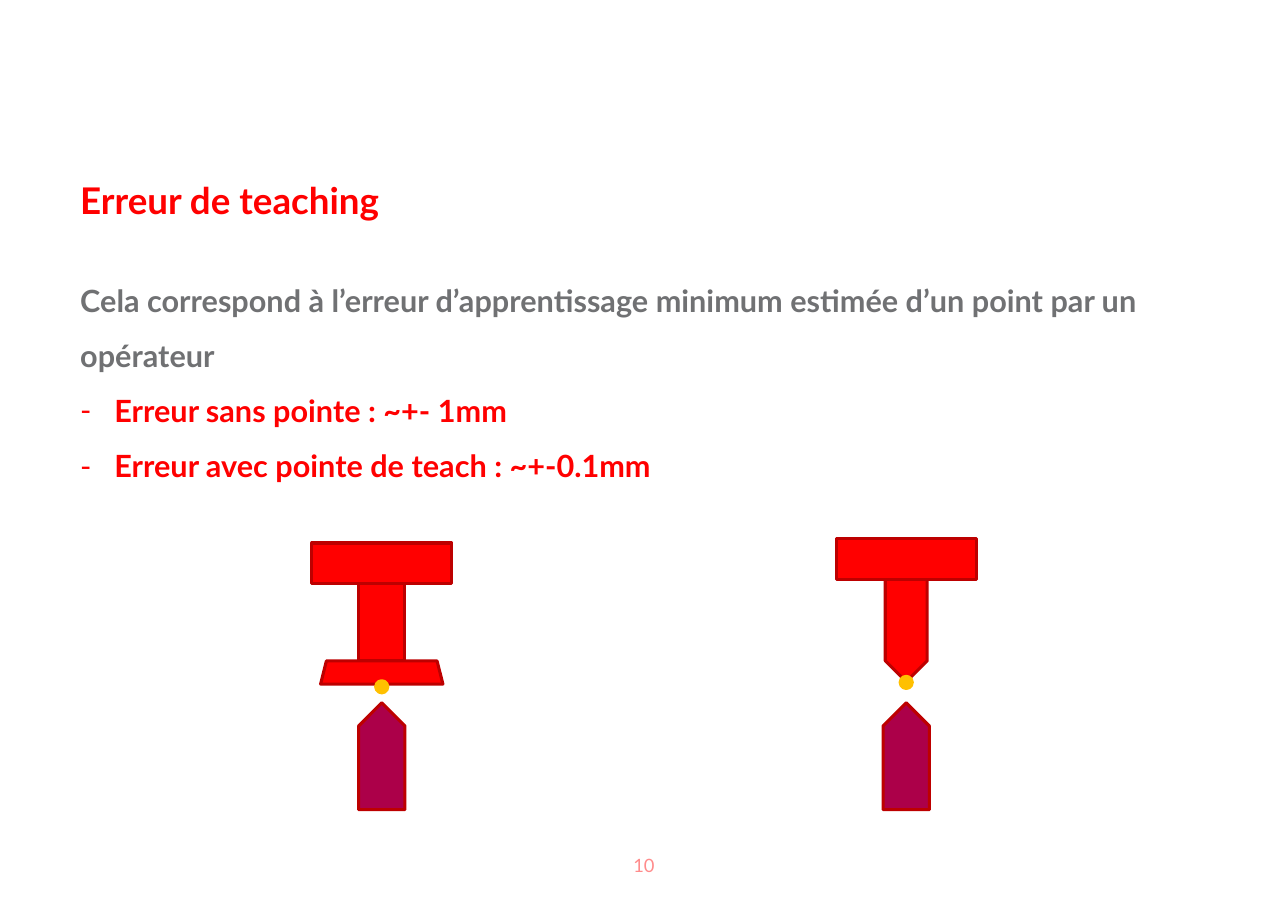
from lxml import etree
from pptx import Presentation
from pptx.dml.color import RGBColor
from pptx.enum.shapes import MSO_SHAPE
from pptx.enum.text import MSO_ANCHOR, PP_ALIGN
from pptx.oxml.ns import qn
from pptx.util import Inches, Pt

RED = RGBColor(0xFF, 0x00, 0x00)
EDGE = RGBColor(0xBD, 0x00, 0x00)
PLUM = RGBColor(0xAC, 0x00, 0x49)
GOLD = RGBColor(0xFF, 0xC0, 0x00)
GREY = RGBColor(0x70, 0x71, 0x73)
PINK = RGBColor(0xFF, 0x8C, 0x8C)
RECT, DOT = MSO_SHAPE.RECTANGLE, MSO_SHAPE.OVAL
FOOT, PLATE = MSO_SHAPE.TRAPEZOID, MSO_SHAPE.PENTAGON
TOP, MIDDLE = MSO_ANCHOR.TOP, MSO_ANCHOR.MIDDLE
LEFT, CENTER = PP_ALIGN.LEFT, PP_ALIGN.CENTER
FONT = "Lato"


def add_frame(slide, box, anchor=TOP):
    frame = slide.shapes.add_textbox(*map(Inches, box)).text_frame
    frame.word_wrap = True
    frame.vertical_anchor = anchor
    return frame


def add_text(par, text, size=20, color=RED, bold=True, align=LEFT,
             space=1.0, dash=False):
    if dash:
        props = par._p.get_or_add_pPr()
        props.set("marL", str(Inches(0.31)))
        props.set("indent", str(-Inches(0.31)))
        etree.SubElement(props, qn("a:buFont")).set("typeface", FONT)
        etree.SubElement(props, qn("a:buChar")).set("char", "-")
    par.alignment = align
    par.line_spacing = space
    run = par.add_run()
    run.text = text
    run.font.name = FONT
    run.font.size = Pt(size)
    run.font.bold = bold
    run.font.color.rgb = color


def add_part(slide, kind, mid, top, width, height, fill=RED, line=EDGE, turn=0):
    """Place a part, centred on mid; a turned part swaps its sides."""
    left = mid - width / 2
    if turn:
        left, top = mid - height / 2, top + (height - width) / 2
        width, height = height, width
    part = slide.shapes.add_shape(
        kind, *map(Inches, (left, top, width, height)))
    part.rotation = turn
    part.shadow.inherit = False
    part.fill.solid()
    part.fill.fore_color.rgb = fill
    part.line.color.rgb = line
    part.line.width = Pt(2)


def add_title(slide, box):
    frame = add_frame(slide, box, MIDDLE)
    add_text(frame.paragraphs[0], "Erreur de teaching", size=24)


def add_body(slide, box):
    frame = add_frame(slide, box)
    add_text(frame.paragraphs[0],
             "Cela correspond à l’erreur d’apprentissage minimum estimée "
             "d’un point par un opérateur", color=GREY, space=1.5)
    for item in ("Erreur sans pointe : ~+- 1mm",
                 "Erreur avec pointe de teach : ~+-0.1mm"):
        add_text(frame.add_paragraph(), item, space=1.5, dash=True)


def add_tool(slide, box, sharp):
    """Draw a tool above its target, with or without a teaching tip."""
    left, top, width, height = box
    mid = left + width / 2
    # Fixed target
    add_part(slide, PLATE, mid, top + height - 0.97, 0.42, 0.97,
             fill=PLUM, turn=270)
    # Tool end
    if sharp:
        add_part(slide, PLATE, mid, top + 0.37, 0.38, 0.93, turn=90)
    else:
        add_part(slide, FOOT, mid, top + 1.07, 1.11, 0.21)
        add_part(slide, RECT, mid, top + 0.37, 0.42, 0.7)
    # Flange and taught point
    add_part(slide, RECT, mid, top, width, 0.37)
    add_part(slide, DOT, mid, top + 1.25, 0.11, 0.11, fill=GOLD, line=GOLD)


def add_number(slide, box):
    frame = add_frame(slide, box, MIDDLE)
    add_text(frame.paragraphs[0], "10", size=12, color=PINK, bold=False,
             align=CENTER)


def main():
    deck = Presentation()
    deck.slide_width, deck.slide_height = Inches(11.69), Inches(8.27)
    slide = deck.slides.add_slide(deck.slide_layouts[6])
    add_title(slide, (0.63, 1.38, 9.85, 0.87))
    add_body(slide, (0.63, 2.34, 9.85, 4.7))
    add_tool(slide, (2.83, 4.93, 1.27, 2.42), sharp=False)
    add_tool(slide, (7.59, 4.89, 1.27, 2.46), sharp=True)
    add_number(slide, (4.53, 7.63, 2.63, 0.44))
    deck.save("out.pptx")


if __name__ == "__main__":
    main()
